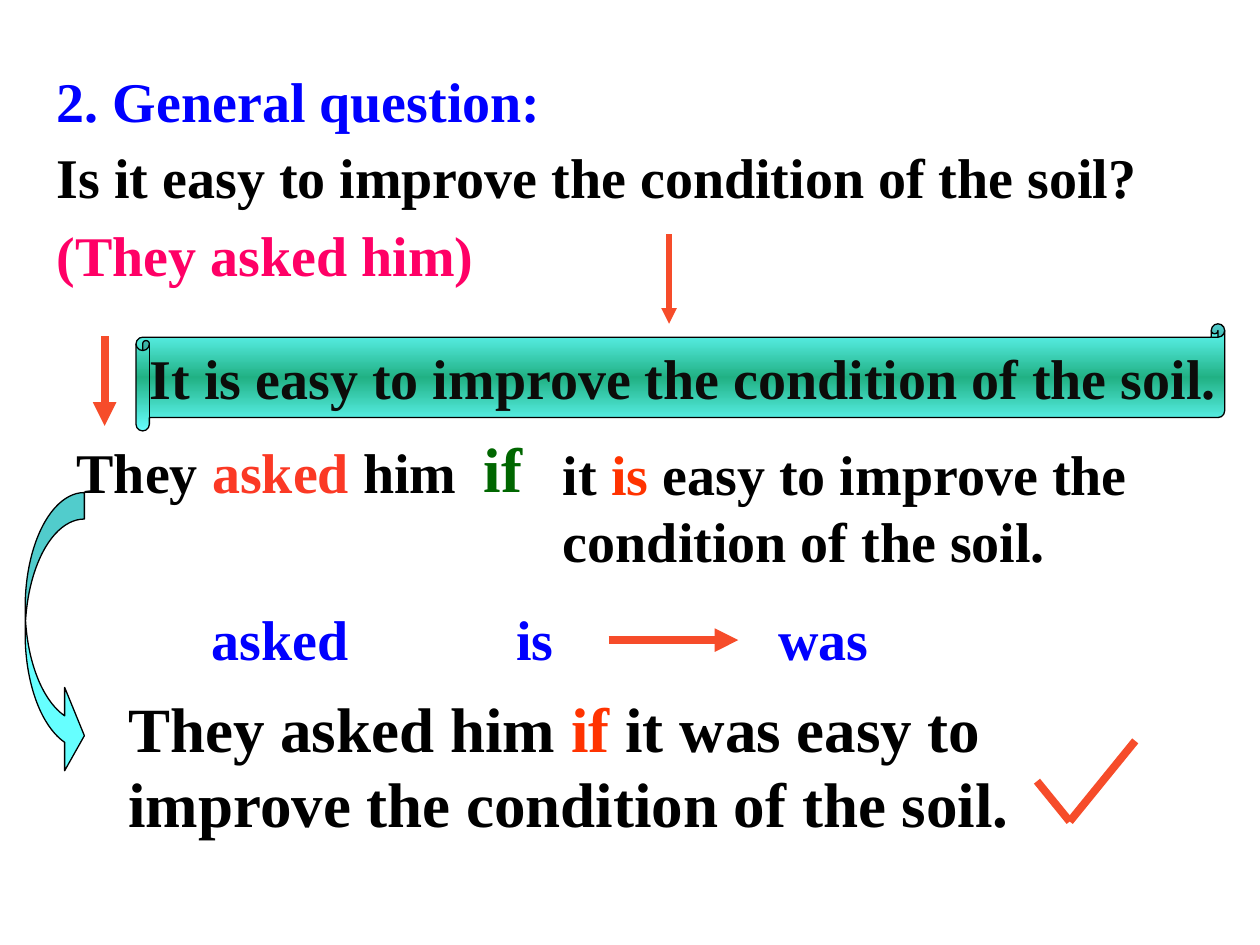
import copy
from dataclasses import dataclass

import lxml.etree
import pptx
import pptx.dml.color
import pptx.enum.shapes
import pptx.enum.text
import pptx.oxml.ns
import pptx.util

COLS, ROWS = 100, 75
WIDE, HIGH = pptx.util.Inches(10), pptx.util.Inches(7.5)

SHAPE = pptx.enum.shapes.MSO_SHAPE
ALIGN = pptx.enum.text.PP_ALIGN
ANCHOR = pptx.enum.text.MSO_ANCHOR
FIT = pptx.enum.text.MSO_AUTO_SIZE
qn = pptx.oxml.ns.qn


@dataclass(frozen=True)
class Theme:
    font: str = "Times New Roman"
    text: int = 32
    large: int = 36
    thin: float = 0.75
    mid: float = 3
    thick: float = 4.5
    black: str = "000000"
    ink: str = "0C0C0A"
    blue: str = "0000FF"
    pink: str = "FF0066"
    green: str = "006600"
    red: str = "FF3300"
    verb: str = "FB3925"
    arrow: str = "F64C2A"
    cyan: str = "66FFFF"
    teal: str = "21B184"


THEME = Theme()


@dataclass(frozen=True)
class Box:
    """An area in grid columns and rows."""
    left: float
    top: float
    width: float
    height: float

    def inner(self, x, y, width, height):
        return Box(self.left + x, self.top + y, width, height)

    def spot(self, x, y):
        return across(self.left + x), down(self.top + y)

    def frame(self):
        return (across(self.left), down(self.top),
                across(self.width), down(self.height))


def across(cols):
    return round(WIDE * cols / COLS)


def down(rows):
    return round(HIGH * rows / ROWS)


def rgb(code):
    return pptx.dml.color.RGBColor.from_string(code)


def style(item, look):
    for name, value in look.items():
        setattr(item, name, value)


def write(para, runs, size=THEME.text):
    """Fill a paragraph with (text, colour) runs."""
    for text, color in runs:
        run = para.add_run()
        run.text = text
        style(run.font, {"name": THEME.font, "size": pptx.util.Pt(size), "bold": True})
        run.font.color.rgb = rgb(color)


def label(slide, box, runs, size=THEME.text):
    frame = slide.shapes.add_textbox(*box.frame()).text_frame
    style(frame, {"word_wrap": True, "auto_size": FIT.SHAPE_TO_FIT_TEXT})
    write(frame.paragraphs[0], runs, size)


def hold(holder, box, lines):
    """Move a placeholder and fill it with plain left-aligned lines."""
    style(holder, dict(zip(("left", "top", "width", "height"), box.frame())))
    frame = holder.text_frame
    style(frame, {"word_wrap": True, "auto_size": FIT.NONE,
                  "vertical_anchor": ANCHOR.TOP})
    for index, line in enumerate(lines):
        para = frame.add_paragraph() if index else frame.paragraphs[0]
        props = para._p.get_or_add_pPr()
        for name in ("marL", "indent"):
            props.set(name, "0")
        lxml.etree.SubElement(props, qn("a:buNone"))
        style(para, {"alignment": ALIGN.LEFT, "line_spacing": 0.95,
                     "space_before": pptx.util.Pt(8 if index else 0)})
        write(para, [line])


def stroke(shapes, start, end, width=THEME.thick, head=True):
    line = shapes.add_connector(pptx.enum.shapes.MSO_CONNECTOR.STRAIGHT, *start, *end)
    line.line.color.rgb = rgb(THEME.arrow)
    line.line.width = pptx.util.Pt(width)
    if head:
        lxml.etree.SubElement(line.line._get_or_add_ln(), qn("a:tailEnd"), type="triangle")
    lxml.etree.SubElement(line._element.spPr, qn("a:effectLst"))


def figure(slide, kind, box, adjust):
    shape = slide.shapes.add_shape(kind, *box.frame())
    shape.shadow.inherit = False
    shape.line.color.rgb = rgb(THEME.black)
    shape.line.width = pptx.util.Pt(THEME.thin)
    for index, value in enumerate(adjust):
        shape.adjustments[index] = value
    return shape


def question(slide, box):
    hold(slide.shapes.title, box.inner(0, 0, box.width, 6),
         [("2. General question:", THEME.blue)])
    hold(slide.placeholders[1], box.inner(0, 6, box.width, box.height - 6),
         [("Is it easy to improve the condition of the soil?", THEME.black),
          ("(They asked him)", THEME.pink)])
    stroke(slide.shapes, box.spot(49.6, 13.4), box.spot(49.6, 20.5), THEME.mid)


def clause(slide, box):
    stroke(slide.shapes, box.spot(3.2, -7.5), box.spot(3.2, -0.4))
    label(slide, box.inner(0, 0, 33.2, 6.3),
          [("They ", THEME.black), ("asked ", THEME.verb), ("him", THEME.black)])
    label(slide, box.inner(32.3, -0.6, 8.7, 7), [("if", THEME.green)], THEME.large)
    label(slide, box.inner(38.6, 0.2, 49.6, 11.7),
          [("it ", THEME.black), ("is", THEME.red),
           (" easy to improve the condition of the soil.", THEME.black)])


def scroll(slide, box):
    shape = figure(slide, SHAPE.HORIZONTAL_SCROLL, box, [0.125])
    shape.fill.gradient()
    shape.fill.gradient_angle = 270
    stops = shape._element.spPr.find(".//" + qn("a:gsLst"))
    stops.append(copy.deepcopy(stops[0]))
    shades = (0, THEME.cyan), (0.5, THEME.teal), (1, THEME.cyan)
    for stop, (place, color) in zip(shape.fill.gradient_stops, shades):
        stop.position = place
        stop.color.rgb = rgb(color)
    frame = shape.text_frame
    style(frame, {"word_wrap": False, "vertical_anchor": ANCHOR.MIDDLE})
    frame.paragraphs[0].alignment = ALIGN.CENTER
    write(frame.paragraphs[0],
          [("It is easy to improve the condition of the soil.", THEME.ink)])


def tense(slide, box):
    for word, x, width in (("asked", 0, 15), ("is", 24.2, 9.4), ("was", 45, 12.6)):
        label(slide, box.inner(x, 0, width, box.height), [(word, THEME.blue)])
    stroke(slide.shapes, box.spot(32.5, 3.3), box.spot(42.8, 3.3))


def answer(slide, box):
    label(slide, box,
          [("They asked him ", THEME.black), ("if ", THEME.red),
           ("it was easy to improve the condition of the soil.", THEME.black)],
          THEME.large)
    tick = slide.shapes.add_group_shape().shapes
    points = [box.spot(*at) for at in ((73.1, 7.8), (75.7, 11), (80.9, 4.6))]
    for start, end in zip(points, points[1:]):
        stroke(tick, start, end, head=False)


def bend(slide, box):
    shape = figure(slide, SHAPE.CURVED_RIGHT_ARROW, box, [0.447, 1.407, 0.333])
    shape.fill.solid()
    shape.fill.fore_color.rgb = rgb(THEME.cyan)


def main():
    deck = pptx.Presentation()
    style(deck, {"slide_width": WIDE, "slide_height": HIGH})
    slide = deck.slides.add_slide(deck.slide_layouts[1])
    question(slide, Box(3.5, 5.2, 90.6, 18.3))
    clause(slide, Box(5.1, 34.2, 88.2, 11.9))
    scroll(slide, Box(10.8, 25.7, 86.4, 8.5))
    tense(slide, Box(15.8, 47.5, 57.6, 6.3))
    answer(slide, Box(9.2, 54.2, 81.9, 13))
    bend(slide, Box(2, 39.1, 4.7, 22.6))
    deck.save("out.pptx")


if __name__ == "__main__":
    main()
